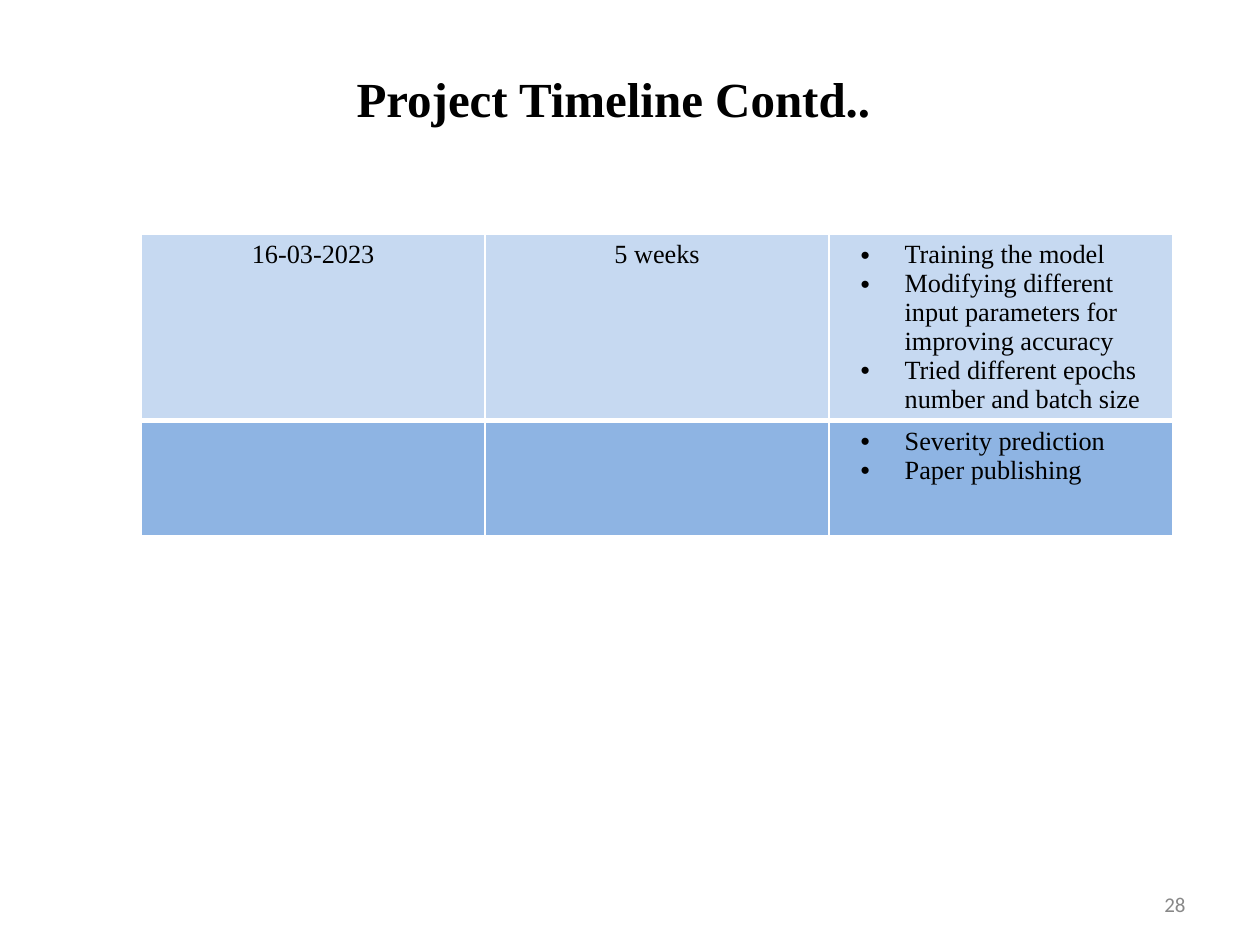
import dataclasses
import typing

import lxml.etree
import pptx
import pptx.dml.color
import pptx.enum.text
import pptx.oxml.ns
import pptx.util

Inches = pptx.util.Inches
Pt = pptx.util.Pt
ALIGN = pptx.enum.text.PP_ALIGN
qn = pptx.oxml.ns.qn


@dataclasses.dataclass(frozen=True)
class Theme:
    serif: str = "Times New Roman"
    sans: str = "Calibri"
    ink: str = "000000"
    muted: str = "888888"
    border: str = "FFFFFF"
    light_row: str = "C6D9F1"
    dark_row: str = "8EB4E3"
    title_size: float = 28
    table_size: float = 15
    number_size: float = 12


@dataclasses.dataclass(frozen=True)
class TimelineRow:
    date: str
    duration: str
    tasks: tuple[str, ...]
    fill: str
    height: float
    top_border: float
    bottom_border: float


THEME = Theme()
ROWS = (
    TimelineRow(
        "16-03-2023",
        "5 weeks",
        (
            "Training the model",
            "Modifying different input parameters for improving accuracy",
            "Tried different epochs number and batch size",
        ),
        THEME.light_row, 1.48, 1, 3,
    ),
    TimelineRow(
        "", "", ("Severity prediction", "Paper publishing"),
        THEME.dark_row, 0.91, 3, 1,
    ),
)


def rgb(color: str) -> pptx.dml.color.RGBColor:
    return pptx.dml.color.RGBColor.from_string(color)


def write(p: typing.Any, text: str, *, size: float, font: str = THEME.serif,
          color: str = THEME.ink, bold: bool = False,
          align: ALIGN = ALIGN.LEFT) -> None:
    p.alignment = align
    r = p.add_run()
    r.text = text
    r.font.size = Pt(size)
    r.font.name = font
    r.font.bold = bold
    r.font.color.rgb = rgb(color)


def clear_insets(tf: typing.Any) -> None:
    tf.margin_left = tf.margin_top = tf.margin_right = tf.margin_bottom = 0
    tf.vertical_anchor = pptx.enum.text.MSO_ANCHOR.TOP
    tf.auto_size = pptx.enum.text.MSO_AUTO_SIZE.NONE


def add_bullet(p: typing.Any) -> None:
    props = p._p.get_or_add_pPr()
    props.set("marL", str(Inches(0.5)))
    props.set("indent", str(Inches(-0.35)))
    color = lxml.etree.SubElement(props, qn("a:buClr"))
    lxml.etree.SubElement(color, qn("a:srgbClr"), val=THEME.ink)
    lxml.etree.SubElement(props, qn("a:buFont"), typeface="Arial")
    lxml.etree.SubElement(props, qn("a:buChar"), char="•")


def style_cell(cell: typing.Any, row: TimelineRow) -> None:
    props = cell._tc.get_or_add_tcPr()
    borders = {"L": 1, "R": 1, "T": row.top_border, "B": row.bottom_border}
    for side, width in borders.items():
        line = lxml.etree.SubElement(props, qn(f"a:ln{side}"), w=str(Pt(width)))
        fill = lxml.etree.SubElement(line, qn("a:solidFill"))
        lxml.etree.SubElement(fill, qn("a:srgbClr"), val=THEME.border)
    cell.fill.solid()
    cell.fill.fore_color.rgb = rgb(row.fill)


def add_timeline(s: typing.Any, rows: tuple[TimelineRow, ...]) -> None:
    table = s.shapes.add_table(
        len(rows), 3, Inches(1.12), Inches(1.86), Inches(8.19),
        Inches(sum(row.height for row in rows)),
    ).table
    table.first_row = False
    table.horz_banding = False
    for i, row in enumerate(rows):
        table.rows[i].height = Inches(row.height)
        date, duration, tasks = table.rows[i].cells
        for cell in (date, duration, tasks):
            style_cell(cell, row)
        for cell, text in ((date, row.date), (duration, row.duration)):
            if text:
                write(cell.text_frame.paragraphs[0], text,
                      size=THEME.table_size, align=ALIGN.CENTER)
        tf = tasks.text_frame
        for j, task in enumerate(row.tasks):
            p = tf.add_paragraph() if j else tf.paragraphs[0]
            write(p, task, size=THEME.table_size)
            add_bullet(p)


def add_title(s: typing.Any, text: str) -> None:
    sp = s.shapes.title
    sp.left, sp.top = Inches(2.83), Inches(0.54)
    sp.width, sp.height = Inches(4.34), Inches(0.47)
    clear_insets(sp.text_frame)
    write(sp.text_frame.paragraphs[0], text, size=THEME.title_size, bold=True)


def add_page_number(s: typing.Any, text: str) -> None:
    sp = s.shapes.add_textbox(Inches(9.2), Inches(7.07), Inches(0.25), Inches(0.2))
    tf = sp.text_frame
    clear_insets(tf)
    tf.word_wrap = True
    p = tf.paragraphs[0]
    p.line_spacing = 1.03
    write(p, text, size=THEME.number_size, font=THEME.sans, color=THEME.muted)
    p._p.get_or_add_pPr().set("marL", str(Inches(0.04)))


def main() -> None:
    prs = pptx.Presentation()
    prs.slide_width, prs.slide_height = Inches(10), Inches(7.5)
    s = prs.slides.add_slide(prs.slide_layouts[5])
    add_title(s, "Project Timeline Contd..")
    add_timeline(s, ROWS)
    add_page_number(s, "28")
    prs.save("out.pptx")


if __name__ == "__main__":
    main()
